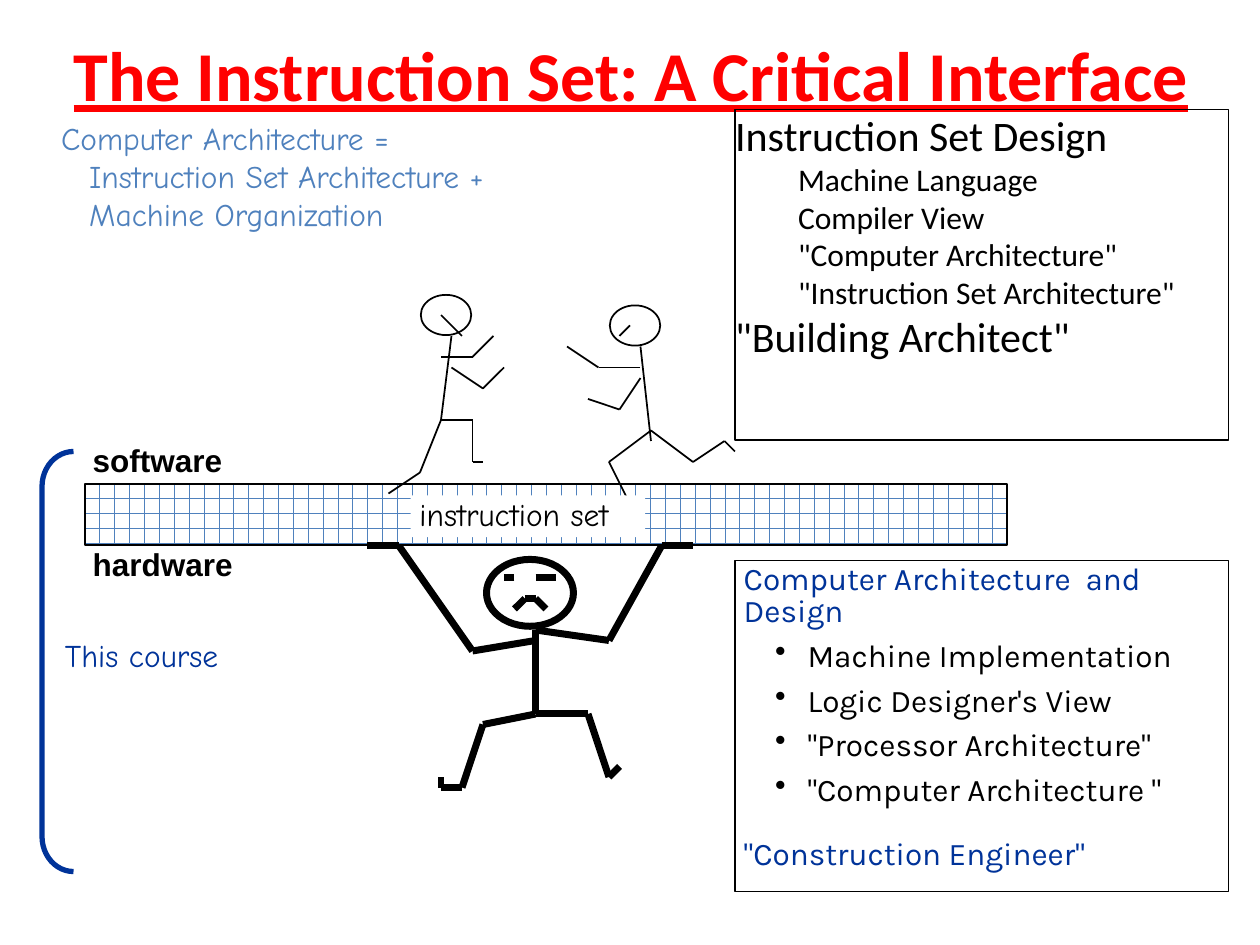
from itertools import pairwise

from lxml.etree import SubElement
from pptx import Presentation
from pptx.dml.color import RGBColor
from pptx.enum.dml import MSO_PATTERN
from pptx.enum.shapes import MSO_CONNECTOR, MSO_SHAPE
from pptx.enum.text import MSO_ANCHOR, MSO_AUTO_SIZE, PP_ALIGN
from pptx.oxml.ns import qn
from pptx.util import Pt

COLORS = {"black": "000000", "white": "FFFFFF", "red": "FF0000", "blue": "4F81BD", "navy": "003399"}

TITLE = "The Instruction Set: A Critical Interface"
DESIGN = [
    (0, "Instruction Set Design"),
    (1, "Machine Language"),
    (1, "Compiler View"),
    (1, '"Computer Architecture"'),
    (1, '"Instruction Set Architecture"'),
    (0, '"Building Architect"'),
]
BUILDING = [
    (0, "Computer Architecture  and Design"),
    (1, "Machine Implementation"),
    (1, "Logic Designer's View"),
    (1, '"Processor Architecture"'),
    (1, '"Computer Architecture "'),
    (0, '"Construction Engineer"'),
]
EQUATION = ["Computer Architecture = ", "Instruction Set Architecture + ", "Machine Organization"]
LABELS = [("software", (48, 253.4, 84, 22)), ("hardware", (48, 312.5, 90, 22))]

FIGURES = [
    {"weight": 1, "head": (240.5, 168.5, 28.8, 23), "strokes": [
        [(258, 192), (252, 240), (240, 270), (222, 282)],
        [(252, 240), (270, 240), (270, 264), (276, 264)],
        [(258, 210), (276, 222), (288, 210)],
        [(252, 204), (270, 204), (282, 192)],
        [(264, 192), (252, 180)],
    ]},
    {"weight": 1, "head": (348.5, 174.5, 28.8, 23), "strokes": [
        [(366, 198), (372, 252)],
        [(372, 246), (348, 264), (360, 288)],
        [(372, 246), (396, 264), (414, 252), (420, 258)],
        [(366, 216), (354, 234), (336, 228)],
        [(366, 210), (342, 210), (324, 198)],
        [(354, 192), (360, 186)],
    ]},
    {"weight": 4, "head": (278, 319.7, 49.7, 38.2), "strokes": [
        [(294, 348), (300, 342), (306, 342), (312, 348)],
        [(306, 330), (318, 330)],
        [(294, 330), (288, 330)],
        [(306, 360), (306, 408), (336, 408), (348, 444), (354, 438)],
        [(306, 408), (276, 414), (264, 450), (252, 450), (252, 444)],
        [(306, 360), (348, 366), (378, 312), (396, 312)],
        [(306, 366), (270, 372), (228, 312), (210, 312)],
    ]},
]


def rgb(name):
    return RGBColor.from_string(COLORS[name])


def place(s, box):
    s.left, s.top, s.width, s.height = map(Pt, box)


def outline(s, color, weight):
    s.line.color.rgb = rgb(color)
    s.line.width = Pt(weight)


def frame(s, inset=(5, 2.2), wrap=True):
    tf = s.text_frame
    tf.auto_size = MSO_AUTO_SIZE.NONE
    tf.word_wrap = wrap
    tf.vertical_anchor = MSO_ANCHOR.TOP
    tf.margin_left = tf.margin_right = Pt(inset[0])
    tf.margin_top = tf.margin_bottom = Pt(inset[1])
    return tf


def paragraph(tf, first, margin=0, indent=0, bullet=None, before=0, spacing=1.0):
    p = tf.paragraphs[0] if first else tf.add_paragraph()
    p.alignment = PP_ALIGN.LEFT
    p.space_before = Pt(before)
    p.line_spacing = spacing
    pPr = p._p.get_or_add_pPr()
    pPr.set("marL", str(Pt(margin)))
    pPr.set("indent", str(Pt(indent)))
    if bullet:
        SubElement(pPr, qn("a:buChar")).set("char", bullet)
    else:
        SubElement(pPr, qn("a:buNone"))
    return p


def run(p, text, font, size, color, bold=False):
    r = p.add_run()
    r.text = text
    r.font.name, r.font.size, r.font.bold = font, Pt(size), bold
    r.font.color.rgb = rgb(color)
    return r


def shape(shapes, kind, box, line=None, weight=1, fill=None):
    s = shapes.add_shape(kind, *map(Pt, box))
    s.shadow.inherit = False
    if fill:
        s.fill.solid()
        s.fill.fore_color.rgb = rgb(fill)
    else:
        s.fill.background()
    if line:
        outline(s, line, weight)
    else:
        s.line.fill.background()
    return s


def stroke(shapes, points, weight):
    for start, end in pairwise(points):
        s = shapes.add_connector(MSO_CONNECTOR.STRAIGHT, *map(Pt, start + end))
        outline(s, "black", weight)
        SubElement(s._element.spPr, qn("a:effectLst"))


def main():
    """Build the instruction set interface slide."""
    prs = Presentation()
    prs.slide_width, prs.slide_height = Pt(720), Pt(540)
    slide = prs.slides.add_slide(prs.slide_layouts[1])
    shapes = slide.shapes

    place(shapes.title, (42, 18, 654, 29))
    tf = frame(shapes.title, (0, 0))
    run(paragraph(tf, True), TITLE, "Calibri", 40, "red", True).font.underline = True

    body = slide.placeholders[1]
    place(body, (420, 62.5, 282, 189))
    outline(body, "black", 0.75)
    tf = frame(body, (0, 0))
    for i, (level, text) in enumerate(DESIGN):
        p = paragraph(tf, i == 0, margin=36 * level)
        p.level = level
        run(p, text, "Calibri", 18 if level else 24, "black")

    bar = shape(shapes, MSO_SHAPE.RECTANGLE, (48.5, 276.5, 527, 35), "black")
    bar.fill.patterned()
    bar.fill.pattern = MSO_PATTERN.HORIZONTAL_BRICK
    bar.fill.fore_color.rgb, bar.fill.back_color.rgb = rgb("blue"), rgb("white")

    for figure in FIGURES:
        shape(shapes, MSO_SHAPE.OVAL, figure["head"], "black", figure["weight"])
        for points in figure["strokes"]:
            stroke(shapes, points, figure["weight"])

    s = shape(shapes, MSO_SHAPE.RECTANGLE, (234.7, 283, 134, 24), fill="white")
    run(paragraph(frame(s), True, spacing=0.92), "instruction set", "Comic Neue", 18, "black")

    for text, box in LABELS:
        tf = frame(shapes.add_textbox(*map(Pt, box)), wrap=False)
        run(paragraph(tf, True, spacing=0.85), text, "Arial", 18, "black", True)

    s = shape(shapes, MSO_SHAPE.RECTANGLE, (420, 320.5, 282, 189), "black", 0.75)
    tf = frame(s)
    for i, (level, text) in enumerate(BUILDING):
        if level:
            p = paragraph(tf, False, 36.5, -18.5, "•", 7.2, 0.85)
            p.level = level
        else:
            p = paragraph(tf, i == 0, before=18 if i else 0, spacing=0.85)
        run(p, text, "Karla", 18, "black" if level else "navy")

    tf = frame(shapes.add_textbox(*map(Pt, (30, 66, 324, 69))))
    p = paragraph(tf, True, 16, -16)
    for i, text in enumerate(EQUATION):
        if i:
            p.add_line_break()
        run(p, text, "Comic Neue", 18, "blue")

    s = shape(shapes, MSO_SHAPE.LEFT_BRACKET, (24, 258, 18, 240), "navy", 3)
    s.adjustments[0] = 1.11
    tf = frame(shapes.add_textbox(*map(Pt, (30, 360, 198, 29))), (7.2, 3.6))
    run(paragraph(tf, True), "This course", "Comic Neue", 18, "navy")

    prs.save("out.pptx")


if __name__ == "__main__":
    main()
